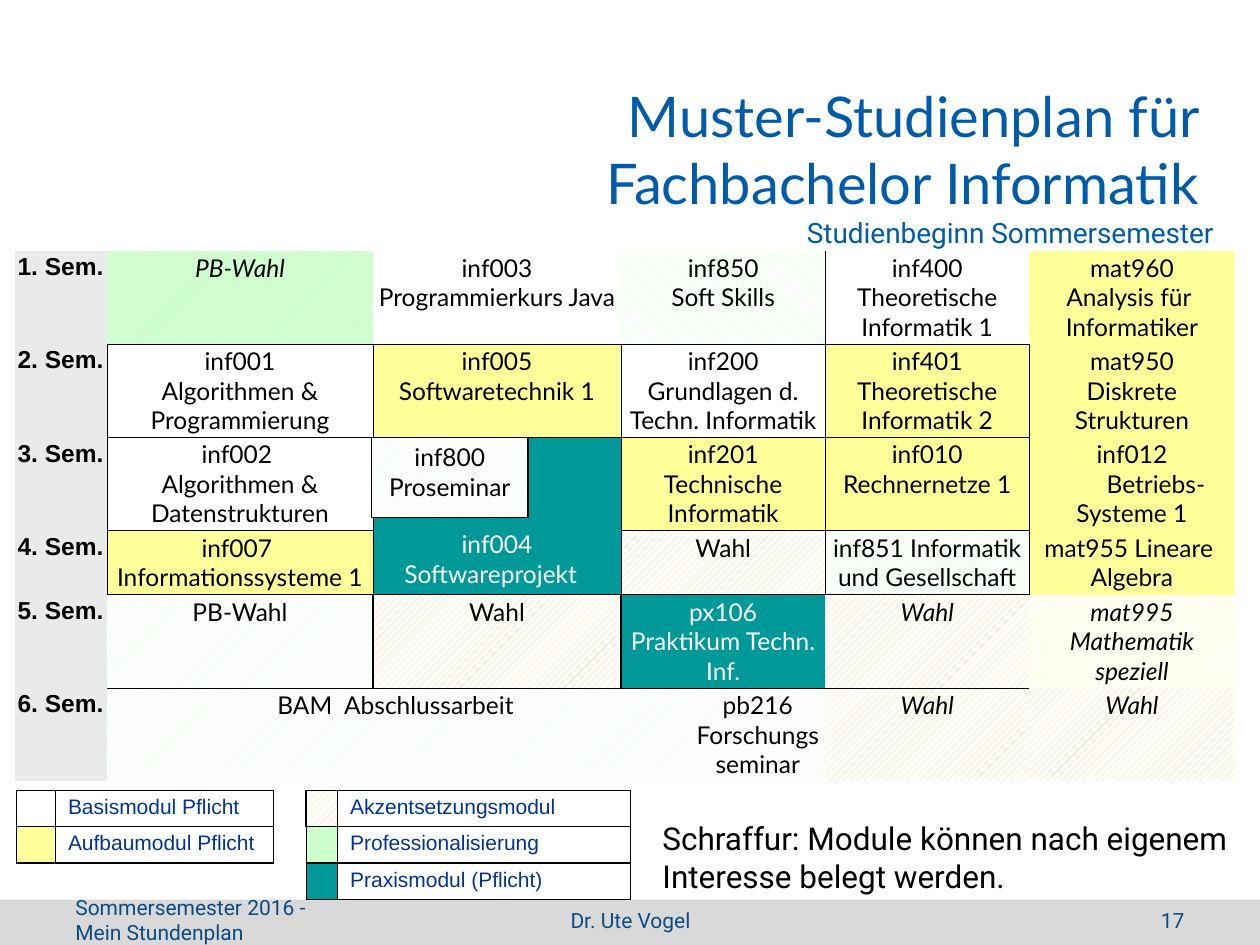
"""Builds the sample study plan slide."""
from collections import namedtuple
from copy import deepcopy

from lxml import etree
from pptx import Presentation
from pptx import util as u
from pptx.dml.color import RGBColor
from pptx.enum import dml, shapes, text
from pptx.oxml.ns import qn

Hatch = namedtuple("Hatch", "pattern front back")
Box = namedtuple("Box", "left top width height")
Module = namedtuple("Module", "row column text fill sides rows columns italic", defaults=("ltrb", 1, 1, False))

BLACK = RGBColor(0x00, 0x00, 0x00)
WHITE = RGBColor(0xFF, 0xFF, 0xFF)
GRAY = RGBColor(0xEA, 0xEA, 0xEA)
FOOTER_GRAY = RGBColor(0xD9, 0xD9, 0xD9)
YELLOW = RGBColor(0xFF, 0xFF, 0x99)
GREEN = RGBColor(0xCC, 0xFF, 0xCC)
ORANGE = RGBColor(0xFF, 0xCC, 0x66)
TEAL = RGBColor(0x00, 0x99, 0x99)
TITLE_BLUE = RGBColor(0x00, 0x5B, 0xAA)
FOOTER_BLUE = RGBColor(0x0B, 0x4B, 0x83)
LEGEND_BLUE = RGBColor(0x00, 0x33, 0x99)

PATTERN = dml.MSO_PATTERN
WIDE = PATTERN.WIDE_UPWARD_DIAGONAL
FREE = Hatch(WIDE, ORANGE, WHITE)
PROFESSIONAL = Hatch(WIDE, GREEN, WHITE)
PROFESSIONAL_FULL = Hatch(WIDE, WHITE, GREEN)
SOFT_SKILLS = Hatch(PATTERN.DARK_DOWNWARD_DIAGONAL, GREEN, WHITE)
SOCIETY = Hatch(PATTERN.DARK_UPWARD_DIAGONAL, GREEN, WHITE)
SPECIAL = Hatch(PATTERN.SOLID_DIAMOND, YELLOW, WHITE)

CENTER, RIGHT = text.PP_ALIGN.CENTER, text.PP_ALIGN.RIGHT
TOP, MIDDLE, BOTTOM = text.MSO_ANCHOR.TOP, text.MSO_ANCHOR.MIDDLE, text.MSO_ANCHOR.BOTTOM

MODULES = [
    Module(0, 1, "PB-Wahl", PROFESSIONAL_FULL, "b", italic=True),
    Module(0, 2, "inf003\nProgrammierkurs Java", WHITE, "b"),
    Module(0, 3, "inf850\nSoft Skills", SOFT_SKILLS, "rb", columns=2),
    Module(0, 5, "inf400\nTheoretische Informatik 1", WHITE, "lb"),
    Module(0, 6, "mat960\nAnalysis für \nInformatiker", YELLOW, ""),
    Module(1, 1, "inf001\nAlgorithmen & Programmierung", WHITE),
    Module(1, 2, "inf005\nSoftwaretechnik 1", YELLOW),
    Module(1, 3, "inf200 Grundlagen d. Techn. Informatik", WHITE, columns=2),
    Module(1, 5, "inf401\nTheoretische Informatik 2", YELLOW),
    Module(1, 6, "mat950\nDiskrete Strukturen", YELLOW, "l"),
    Module(2, 1, "inf002 \nAlgorithmen & Datenstrukturen", WHITE),
    Module(2, 2, "inf004\nSoftwareprojekt  ", TEAL, rows=2),
    Module(2, 3, "inf201\nTechnische Informatik", YELLOW, columns=2),
    Module(2, 5, "inf010\nRechnernetze 1", YELLOW),
    Module(2, 6, "inf012\nBetriebs-\rSysteme 1", YELLOW, "l"),
    Module(3, 1, "inf007 \nInformationssysteme 1", YELLOW),
    Module(3, 3, "Wahl", FREE, columns=2),
    Module(3, 5, "inf851 Informatik und Gesellschaft", SOCIETY),
    Module(3, 6, "mat955 Lineare \nAlgebra", YELLOW, "l"),
    Module(4, 1, "PB-Wahl", PROFESSIONAL, "tRb"),
    Module(4, 2, "Wahl", FREE, "LtRb"),
    Module(4, 3, "px106\nPraktikum Techn. Inf.", TEAL, "Ltb", columns=2),
    Module(4, 5, "Wahl", FREE, "tb", italic=True),
    Module(4, 6, "mat995 Mathematik speziell", SPECIAL, "", italic=True),
    Module(5, 1, "BAM  Abschlussarbeit ", PROFESSIONAL, "t", columns=3),
    Module(5, 4, "pb216\nForschungsseminar", PROFESSIONAL, "t"),
    Module(5, 5, "Wahl", FREE, "t", italic=True),
    Module(5, 6, "Wahl", FREE, "", italic=True),
]
LEGEND = [
    [(0, None, WHITE, "ltRB"), (1, "Basismodul Pflicht", None, "LtRB"),
     (3, None, FREE, "LtRB"), (4, "Akzentsetzungsmodul", WHITE, "LtrB")],
    [(0, None, YELLOW, "lTRB"), (1, "Aufbaumodul Pflicht", None, "LTrB"),
     (3, None, GREEN, "lTRB"), (4, "Professionalisierung", WHITE, "LTrB")],
    [(3, None, TEAL, "lTRb"), (4, "Praxismodul (Pflicht)", WHITE, "LTrb")],
]


def apply(target, values):
    """Set each named attribute on the target."""
    for name, value in values.items():
        setattr(target, name, value)


def paint(fill, paint_value):
    """Apply a solid colour, a hatch or no fill."""
    if paint_value is None:
        fill.background()
    elif isinstance(paint_value, Hatch):
        fill.patterned()
        fill.pattern = paint_value.pattern
        fill.fore_color.rgb = paint_value.front
        fill.back_color.rgb = paint_value.back
    else:
        fill.solid()
        fill.fore_color.rgb = paint_value


def write(paragraph, content, color, align=None, **font):
    """Write one formatted paragraph, with line breaks at newlines."""
    paragraph.text = content
    paragraph.alignment = align
    for run in paragraph.runs:
        apply(run.font, font)
        run.font.color.rgb = color
    for line_break in paragraph._p.findall(qn("a:br")):
        line_break.append(deepcopy(paragraph.runs[0].font._element))


def set_margins(target, left, top, right, bottom):
    """Set the inner margins of a cell or text frame."""
    for side, value in zip(("left", "top", "right", "bottom"), (left, top, right, bottom)):
        setattr(target, "margin_" + side, u.Inches(value))


def place(box):
    """Convert a box to slide lengths."""
    return [u.Inches(value) for value in box]


def set_borders(cell, sides):
    """Draw thin lines on lower-case sides and thick lines on capital sides."""
    properties = cell._tc.get_or_add_tcPr()
    for side in "lrtb":
        line = etree.SubElement(properties, qn("a:ln" + side.upper()))
        if side in sides.lower():
            line.set("w", str(u.Pt(1 if side.upper() in sides else 0.5)))
            solid = etree.SubElement(line, qn("a:solidFill"))
            etree.SubElement(solid, qn("a:srgbClr"), val=str(BLACK))
        else:
            line.set("w", "0")
            etree.SubElement(line, qn("a:noFill"))


def add_plain_table(slide, box, widths, row_count):
    """Add a table without style bands, with equal rows and small empty cells."""
    table = slide.shapes.add_table(row_count, len(widths), *place(box)).table
    apply(table, {"first_row": False, "horz_banding": False})
    for column, width in zip(table.columns, widths):
        column.width = u.Inches(width)
    for cell in table.iter_cells():
        etree.SubElement(cell.text_frame.paragraphs[0]._p, qn("a:endParaRPr"), sz="1200")
    return table


def add_text(slide, box, content, color, anchor=TOP, align=None, **font):
    """Add a wrapping text box and return its frame."""
    frame = slide.shapes.add_textbox(*place(box)).text_frame
    apply(frame, {"word_wrap": True, "vertical_anchor": anchor})
    write(frame.paragraphs[0], content, color, align, **font)
    return frame


def add_title(slide, box):
    """Add the shadowed title with its smaller last line."""
    frame = add_text(slide, box, "Muster-Studienplan für \nFachbachelor Informatik \nStudienbeginn Sommersemester",
                     TITLE_BLUE, MIDDLE, RIGHT, size=u.Pt(32), name="Lato")
    runs = frame.paragraphs[0].runs
    apply(runs[-1].font, {"size": u.Pt(16), "name": "Roboto"})
    for run in runs:
        effects = etree.Element(qn("a:effectLst"))
        shadow = etree.SubElement(effects, qn("a:outerShdw"), blurRad="38100", dist="38100", dir="2700000")
        shade = etree.SubElement(shadow, qn("a:srgbClr"), val="000000")
        etree.SubElement(shade, qn("a:alpha"), val="43000")
        run.font._element.find(qn("a:solidFill")).addnext(effects)


def add_plan(slide, box):
    """Add the six-semester module table."""
    table = add_plain_table(slide, box, [0.73, 2.11, 1.97, 0.55, 1.07, 1.62, 1.63], 6)
    for index, row in enumerate(table.rows):
        row.height = u.Inches(0.51 if index == 3 else 0.74)
    semesters = [Module(index, 0, f"{index + 1}. Sem.", GRAY, "r" if 0 < index < 4 else "") for index in range(6)]
    for module in semesters + MODULES:
        cell = table.cell(module.row, module.column)
        if module.rows * module.columns > 1:
            cell.merge(table.cell(module.row + module.rows - 1, module.column + module.columns - 1))
        set_margins(cell, 0.02, 0.02, 0.02, 0.05 if module.rows > 1 else 0.02)
        cell.vertical_anchor = BOTTOM if module.rows > 1 else TOP
        set_borders(cell, module.sides)
        paint(cell.fill, module.fill)
        heading = module.column == 0
        parts = module.text.split("\r")
        for index, part in enumerate(parts):
            paragraph = cell.text_frame.add_paragraph() if index else cell.text_frame.paragraphs[0]
            write(paragraph, part, WHITE if module.fill == TEAL else BLACK, None if heading else CENTER,
                  size=u.Pt(14), name="Arial" if heading else "Lato", bold=heading, italic=module.italic)
            if len(parts) > 1:
                apply_indent = paragraph._p.get_or_add_pPr().set
                apply_indent("marL", str(u.Inches(0.38)))
                apply_indent("indent", str(-u.Inches(0.38)))


def add_legend(slide, box):
    """Add the colour key table."""
    table = add_plain_table(slide, box, [0.31, 1.73, 0.26, 0.25, 2.32], len(LEGEND))
    for index, entries in enumerate(LEGEND):
        table.rows[index].height = u.Inches(box.height / len(LEGEND))
        known = {entry[0]: entry[1:] for entry in entries}
        for column in range(len(table.columns)):
            content, fill, sides = known.get(column, (None, None, ""))
            cell = table.cell(index, column)
            set_margins(cell, 0.1, 0.04, 0.1, 0.04)
            set_borders(cell, sides)
            paint(cell.fill, fill)
            if content:
                write(cell.text_frame.paragraphs[0], content, LEGEND_BLUE, size=u.Pt(12), name="Arial", bold=False)


def add_rectangle(slide, box, fill):
    """Add a rectangle without shadow or outline."""
    shape = slide.shapes.add_shape(shapes.MSO_SHAPE.RECTANGLE, *place(box))
    shape.shadow.inherit = False
    paint(shape.fill, fill)
    shape.line.fill.background()
    return shape


def add_seminar(slide, box):
    """Add the seminar box that overlaps the project cell."""
    shape = add_rectangle(slide, box, PROFESSIONAL)
    paint(shape.line.fill, BLACK)
    shape.line.width = u.Pt(0.75)
    set_margins(shape.text_frame, 0, 0.04, 0, 0)
    shape.text_frame.vertical_anchor = TOP
    write(shape.text_frame.paragraphs[0], "inf800\nProseminar", BLACK, CENTER, size=u.Pt(14), name="Lato")


def add_footer(slide, box):
    """Add the footer band with date, author and page number."""
    add_rectangle(slide, box, FOOTER_GRAY)
    for left, width, content, align in (
        (0.5, 2.33, "Sommersemester 2016 - Mein Stundenplan", None),
        (3.42, 3.17, "Dr. Ute Vogel", CENTER),
        (7.17, 2.33, "17", RIGHT),
    ):
        add_text(slide, Box(box.left + left, box.top, width, 0.32), content, FOOTER_BLUE, MIDDLE, align,
                 size=u.Pt(12), name="Roboto")


def main():
    """Build and save the presentation."""
    presentation = Presentation()
    apply(presentation, {"slide_width": u.Inches(10), "slide_height": u.Inches(7.5)})
    slide = presentation.slides.add_slide(presentation.slide_layouts[6])
    add_footer(slide, Box(0, 7.14, 10, 0.36))
    add_title(slide, Box(2.64, 0.76, 7.09, 1.1))
    add_plan(slide, Box(0.12, 1.99, 9.68, 4.21))
    add_legend(slide, Box(0.13, 6.27, 4.87, 0.87))
    add_text(slide, Box(5.16, 6.45, 4.83, 0.7), "Schraffur: Module können nach eigenem Interesse belegt werden.",
             BLACK, size=u.Pt(18), name="Roboto")
    add_seminar(slide, Box(2.95, 3.47, 1.24, 0.64))
    presentation.save("out.pptx")


if __name__ == "__main__":
    main()
